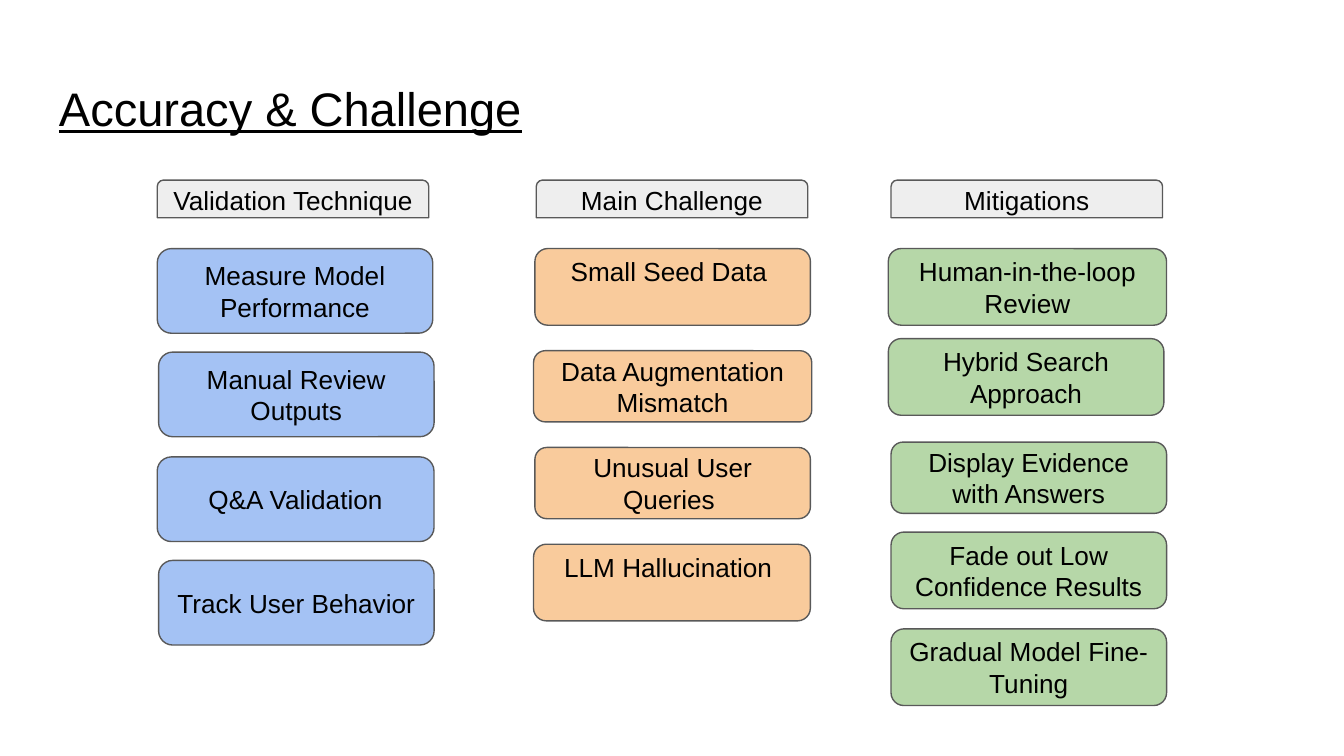
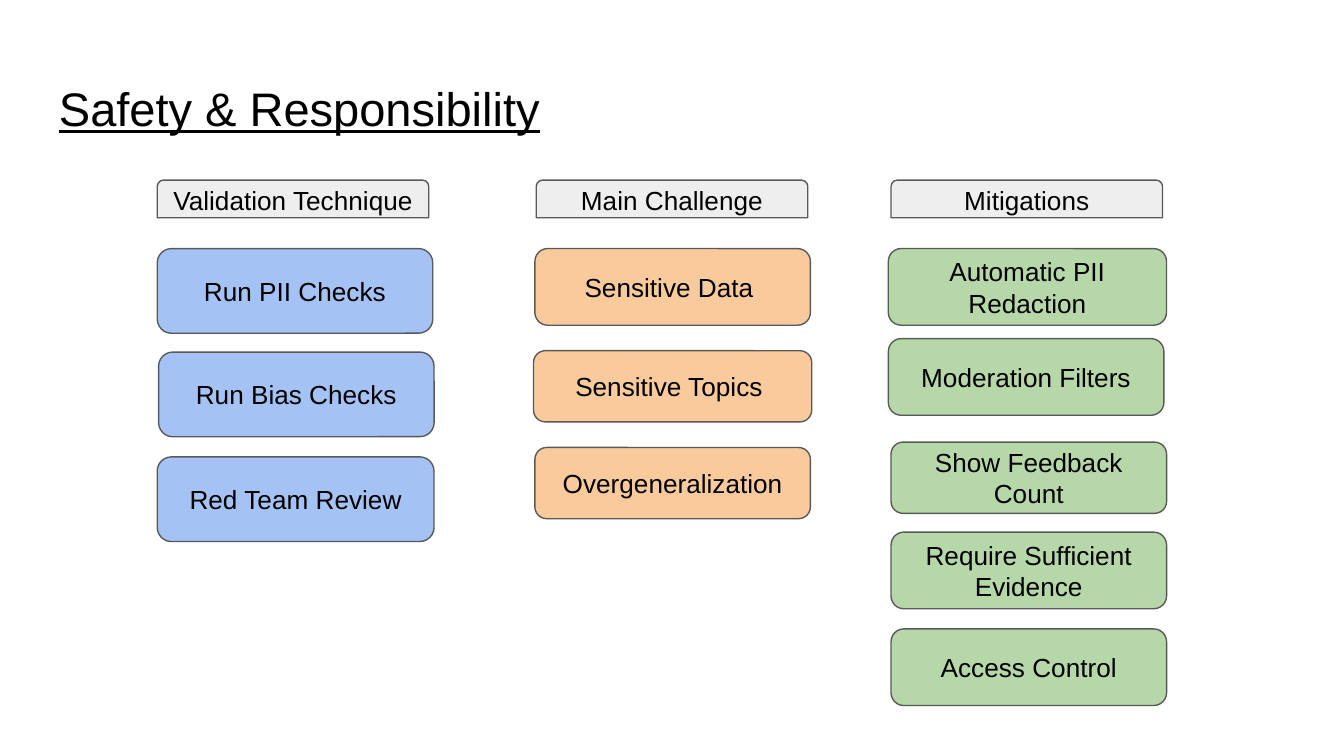
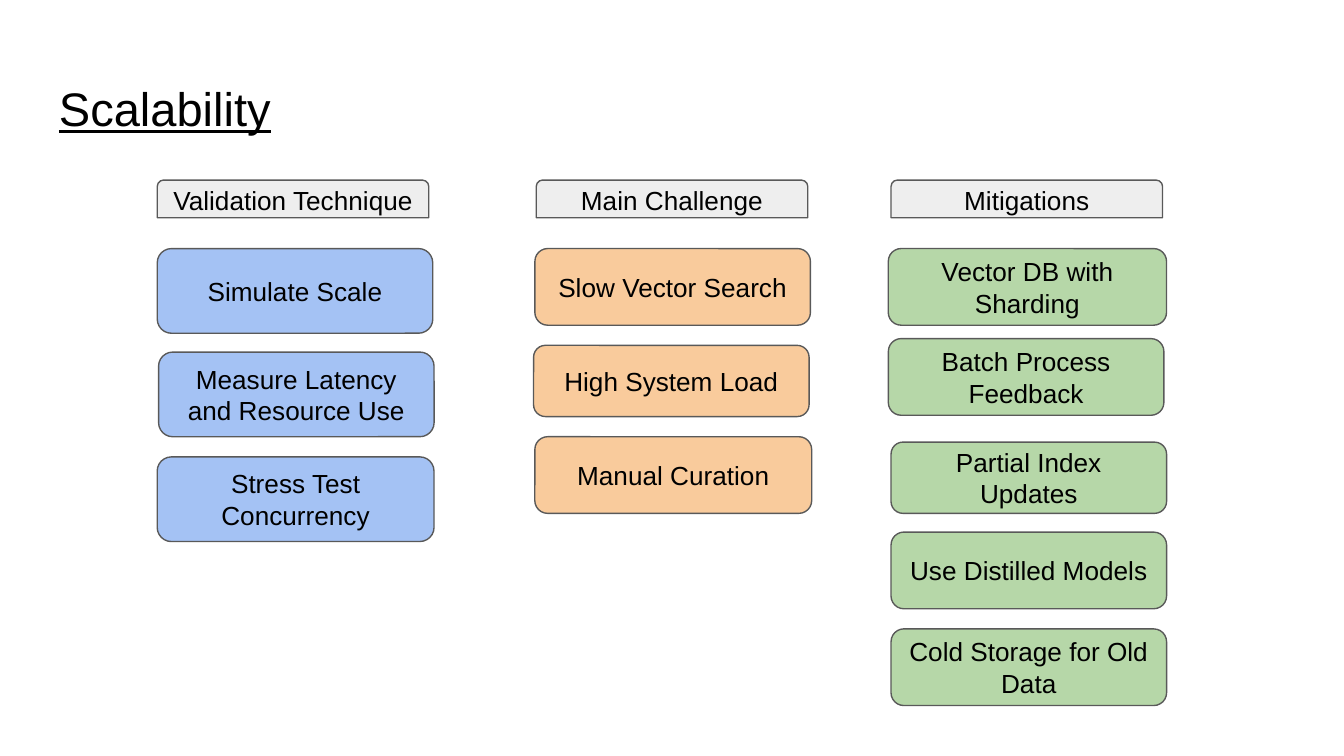
import pptx
import pptx.util
import pptx.dml.color
import pptx.enum.shapes
import pptx.enum.text

Inches = pptx.util.Inches
RGBColor = pptx.dml.color.RGBColor
SHAPE = pptx.enum.shapes.MSO_SHAPE
ALIGN = pptx.enum.text.PP_ALIGN
ANCHOR = pptx.enum.text.MSO_ANCHOR

BLACK = RGBColor(0x00, 0x00, 0x00)
GRAY = RGBColor(0x59, 0x59, 0x59)
PALE = RGBColor(0xEE, 0xEE, 0xEE)
BLUE = RGBColor(0xA4, 0xC2, 0xF4)
ORANGE = RGBColor(0xF9, 0xCB, 0x9C)
GREEN = RGBColor(0xB6, 0xD7, 0xA8)

FONT = "Arial"
PAD = 0.1
LINE = 0.23  # height of one line of card text
HEAD = {"top": 1.34, "width": 2.02, "height": 0.28}

# Each slot is left, top, width, height in inches.
COLUMNS = [
    {"name": "Validation Technique", "left": 1.17, "fill": BLUE, "slots": [
        (1.17, 1.85, 2.05, 0.63), (1.18, 2.62, 2.05, 0.63),
        (1.17, 3.40, 2.06, 0.63), (1.18, 4.17, 2.05, 0.63)]},
    {"name": "Main Challenge", "left": 3.99, "fill": ORANGE, "slots": [
        (3.98, 1.85, 2.05, 0.57), (3.97, 2.61, 2.07, 0.53),
        (3.98, 3.33, 2.05, 0.53), (3.97, 4.05, 2.06, 0.57)]},
    {"name": "Mitigations", "left": 6.63, "fill": GREEN, "slots": [
        (6.61, 1.85, 2.07, 0.57), (6.61, 2.52, 2.05, 0.57),
        (6.63, 3.29, 2.05, 0.53), (6.63, 3.96, 2.05, 0.57),
        (6.63, 4.68, 2.05, 0.57)]},
]

SLIDES = [
    {"title": "Accuracy & Challenge",
     "cards": [
         ["Measure Model Performance", "Manual Review Outputs",
          "Q&A Validation", "Track User Behavior"],
         ["Small Seed Data ", "Data Augmentation Mismatch",
          "Unusual User Queries ", "LLM Hallucination "],
         ["Human-in-the-loop Review", "Hybrid Search Approach",
          "Display Evidence with Answers", "Fade out Low Confidence Results",
          "Gradual Model Fine-Tuning"]],
     "raised": ["Small Seed Data ", "LLM Hallucination "]},
    {"title": "Safety & Responsibility",
     "cards": [
         ["Run PII Checks", "Run Bias Checks", "Red Team Review"],
         ["Sensitive Data ", "Sensitive Topics ", "Overgeneralization"],
         ["Automatic PII Redaction", "Moderation Filters",
          "Show Feedback Count", "Require Sufficient Evidence",
          "Access Control"]]},
    {"title": "Scalability",
     "cards": [
         ["Simulate Scale", "Measure Latency and Resource Use",
          "Stress Test Concurrency"],
         ["Slow Vector Search", "High System Load", "Manual Curation"],
         ["Vector DB with Sharding", "Batch Process Feedback",
          "Partial Index Updates", "Use Distilled Models",
          "Cold Storage for Old Data"]],
     "moved": {"High System Load": (3.97, 2.57, 2.05, 0.53),
               "Manual Curation": (3.98, 3.25, 2.06, 0.57)}},
]


def write(shape, text, size=14, align=ALIGN.CENTER, anchor=ANCHOR.MIDDLE,
          line=False, lift=0):
    """Fill a shape with text; lift adds space below it, in inches."""
    frame = shape.text_frame
    frame.word_wrap = True
    frame.vertical_anchor = anchor
    frame.margin_left = frame.margin_right = frame.margin_top = Inches(PAD)
    frame.margin_bottom = Inches(PAD + lift)
    para = frame.paragraphs[0]
    para.alignment = align
    run = para.add_run()
    run.text = text
    run.font.name = FONT
    run.font.size = pptx.util.Pt(size)
    run.font.color.rgb = BLACK
    run.font.underline = line


def add_box(group, kind, slot, fill, text, lift=0):
    box = group.shapes.add_shape(kind, *map(Inches, slot))
    box.shadow.inherit = False
    box.adjustments[0] = 0.167
    box.fill.solid()
    box.fill.fore_color.rgb = fill
    box.line.color.rgb = GRAY
    box.line.width = pptx.util.Pt(0.75)
    write(box, text, lift=lift)


def add_slide(deck, page):
    slide = deck.slides.add_slide(deck.slide_layouts[6])
    title = slide.shapes.add_textbox(*map(Inches, (0.34, 0.49, 9.32, 0.63)))
    write(title, page["title"], size=25.2, align=ALIGN.LEFT,
          anchor=ANCHOR.TOP, line=True)
    moved = page.get("moved", {})
    raised = page.get("raised", [])
    for column, cards in zip(COLUMNS, page["cards"]):
        group = slide.shapes.add_group_shape()
        head = (column["left"], HEAD["top"], HEAD["width"], HEAD["height"])
        add_box(group, SHAPE.ROUND_2_SAME_RECTANGLE, head, PALE,
                column["name"])
        for text, slot in zip(cards, column["slots"]):
            add_box(group, SHAPE.ROUNDED_RECTANGLE, moved.get(text, slot),
                    column["fill"], text, lift=LINE if text in raised else 0)


def main():
    deck = pptx.Presentation()
    deck.slide_width = Inches(10)
    deck.slide_height = Inches(10 * 9 / 16)
    for page in SLIDES:
        add_slide(deck, page)
    deck.save("out.pptx")


if __name__ == "__main__":
    main()
